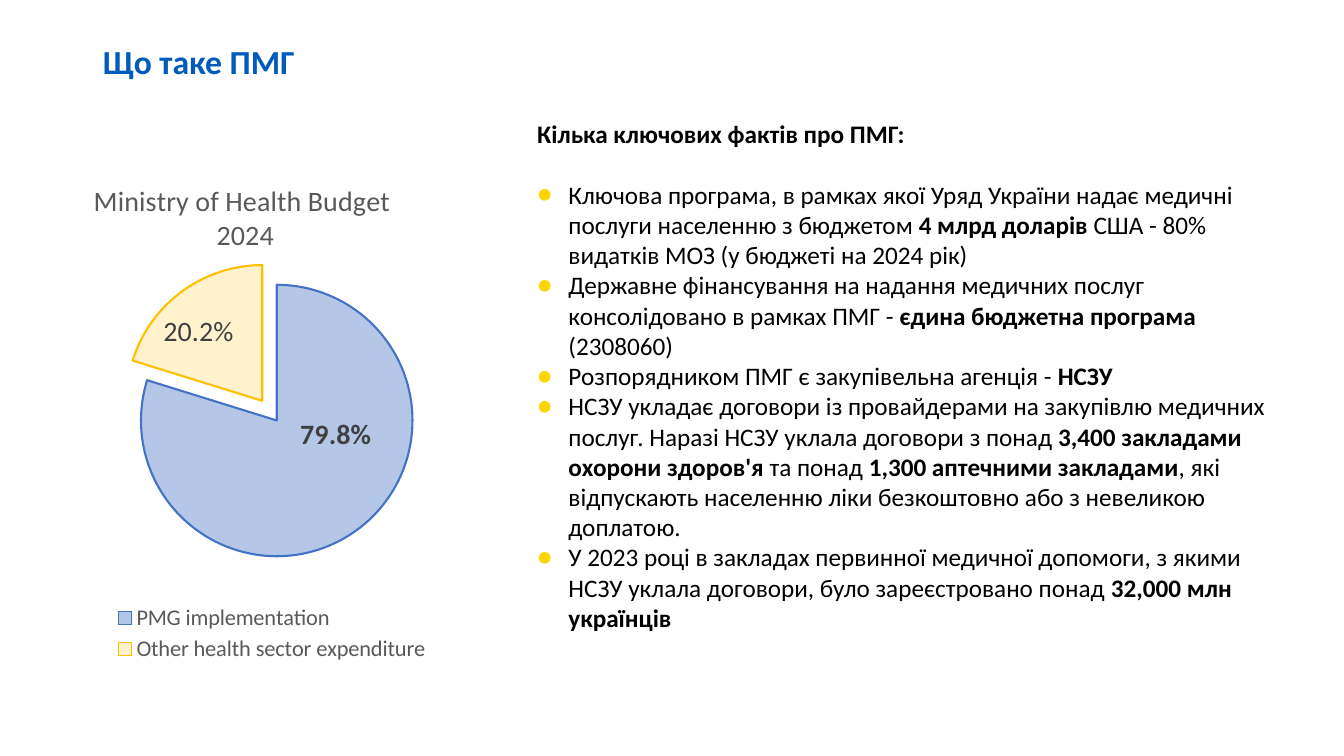
import lxml.etree
import pptx
import pptx.chart.data
import pptx.dml.color
import pptx.enum.chart
import pptx.enum.text
import pptx.oxml.ns
import pptx.util

EMU_PER_PX = 9144
TITLE_ONLY = 5

TITLE_FORMAT = {"size": 24, "bold": True, "color": "005BBB"}
BODY_FORMAT = {"size": 18, "bold": False, "color": "000000"}
STRONG_FORMAT = {**BODY_FORMAT, "bold": True}
CHART_TITLE_FORMAT = {"size": 20, "bold": False, "color": "595959"}
LEGEND_FORMAT = {"size": 16, "bold": False, "color": "595959"}
LABEL_FORMAT = {"size": 20, "bold": False, "color": "404040"}

BUDGET = [
    {"name": "PMG implementation", "share": 0.798, "fill": "B4C7E7",
     "line": "4472C4", "bold": True, "shift": {"x": 0.04, "y": -0.08}},
    {"name": "Other health sector expenditure", "share": 0.202, "fill": "FFF2CC",
     "line": "FFC000", "bold": False, "shift": {"x": -0.05, "y": -0.03}},
]

FACTS = [
    ["Ключова програма, в рамках якої Уряд України надає медичні послуги "
     "населенню з бюджетом ", "4 млрд доларів ",
     "США - 80% видатків МОЗ (у бюджеті на 2024 рік)"],
    ["Державне фінансування на надання медичних послуг консолідовано в рамках ПМГ - ",
     "єдина бюджетна програма", " (2308060)"],
    ["Розпорядником ПМГ є закупівельна агенція - ", "НСЗУ"],
    ["НСЗУ укладає договори із провайдерами на закупівлю медичних послуг. "
     "Наразі НСЗУ уклала договори з понад ", "3,400 закладами охорони здоров'я ",
     "та понад ", "1,300 аптечними закладами",
     ", які відпускають населенню ліки безкоштовно або з невеликою доплатою."],
    ["У 2023 році в закладах первинної медичної допомоги, з якими НСЗУ уклала "
     "договори, було зареєстровано понад ", "32,000 млн українців"],
]


def px(length):
    """Turn pixels into EMU."""
    return pptx.util.Emu(length * EMU_PER_PX)


def rgb(value):
    """Turn a hex string into a colour."""
    return pptx.dml.color.RGBColor.from_string(value)


def add_element(parent, tag, **attributes):
    """Append an XML element with the given attributes."""
    element = lxml.etree.SubElement(parent, pptx.oxml.ns.qn(tag))
    for name, value in attributes.items():
        element.set(name, str(value))
    return element


def set_layout(parent, index, **settings):
    """Give a chart part a manual layout as its child at the index."""
    for existing in parent.findall(pptx.oxml.ns.qn("c:layout")):
        parent.remove(existing)
    layout = add_element(parent, "c:layout")
    manual = add_element(layout, "c:manualLayout")
    for name, value in settings.items():
        add_element(manual, f"c:{name}", val=value)
    parent.insert(index, layout)


class BudgetSlide:
    """Hold the style and the current slide."""

    def __init__(self, presentation, typeface, bullet_color):
        """Add a title-only slide."""
        self.typeface = typeface
        self.bullet_color = bullet_color
        self.slide = presentation.slides.add_slide(presentation.slide_layouts[TITLE_ONLY])

    def style(self, font, look):
        """Apply a size, weight and colour to a font."""
        values = {"name": self.typeface, "size": pptx.util.Pt(look["size"]),
                  "bold": look["bold"]}
        for name, value in values.items():
            setattr(font, name, value)
        font.color.rgb = rgb(look["color"])

    def add_text(self, paragraph, text, look):
        """Add a formatted run to a paragraph."""
        run = paragraph.add_run()
        run.text = text
        self.style(run.font, look)

    def title(self, text, left, top, width, height):
        """Place and fill the title placeholder."""
        heading = self.slide.shapes.title
        place = {"left": left, "top": top, "width": width, "height": height}
        for name, value in place.items():
            setattr(heading, name, px(value))
        heading.text_frame.vertical_anchor = pptx.enum.text.MSO_ANCHOR.TOP
        paragraph = heading.text_frame.paragraphs[0]
        paragraph.alignment = pptx.enum.text.PP_ALIGN.LEFT
        paragraph.line_spacing = 0.9
        self.add_text(paragraph, text, TITLE_FORMAT)

    def bullet(self, paragraph):
        """Give a paragraph a coloured round bullet with a hanging indent."""
        properties = paragraph._p.get_or_add_pPr()
        properties.set("marL", str(px(31)))
        properties.set("indent", str(px(-31)))
        color = add_element(properties, "a:buClr")
        add_element(color, "a:srgbClr", val=self.bullet_color)
        add_element(properties, "a:buFont", typeface=self.typeface)
        add_element(properties, "a:buChar", char="●")

    def facts(self, heading, facts, left, top, width, height):
        """Add a headed bullet list whose every second run is bold."""
        box = self.slide.shapes.add_textbox(px(left), px(top), px(width), px(height))
        frame = box.text_frame
        frame.word_wrap = True
        lead = frame.paragraphs[0]
        lead.space_after = pptx.util.Pt(22)
        self.add_text(lead, heading, STRONG_FORMAT)
        for fact in facts:
            paragraph = frame.add_paragraph()
            self.bullet(paragraph)
            for position, text in enumerate(fact):
                self.add_text(paragraph, text, STRONG_FORMAT if position % 2 else BODY_FORMAT)

    def pie(self, heading, slices, left, top, width, height):
        """Add an exploded pie chart with a title, labels and a legend."""
        data = pptx.chart.data.CategoryChartData(number_format="0.0%")
        data.categories = [part["name"] for part in slices]
        data.add_series("Series 1", [part["share"] for part in slices])
        chart = self.slide.shapes.add_chart(
            pptx.enum.chart.XL_CHART_TYPE.PIE,
            px(left), px(top), px(width), px(height), data).chart
        self.style(chart.font, LEGEND_FORMAT)

        self.add_text(chart.chart_title.text_frame.paragraphs[0], heading, CHART_TITLE_FORMAT)
        set_layout(chart.chart_title._element, 1, xMode="edge", yMode="edge", x=0.12, y=0.03)

        chart.has_legend = True
        chart.legend.position = pptx.enum.chart.XL_LEGEND_POSITION.BOTTOM
        chart.legend.include_in_layout = False
        self.style(chart.legend.font, LEGEND_FORMAT)
        set_layout(chart.legend._element, 1, xMode="edge", yMode="edge",
                   x=0.16, y=0.87, w=0.7, h=0.13)

        plot = chart.plots[0]
        plot.vary_by_categories = True
        set_layout(plot._element.getparent(), 0, layoutTarget="inner",
                   xMode="edge", yMode="edge", x=0.19, y=0.2, w=0.63, h=0.59)
        series = plot.series[0]
        explosion = add_element(series._element, "c:explosion", val=9)
        series._element.find(pptx.oxml.ns.qn("c:tx")).addnext(explosion)
        plot.has_data_labels = True
        plot.data_labels.show_value = True
        plot.data_labels.show_percentage = False
        plot.data_labels.number_format = "0.0%"
        plot.data_labels.number_format_is_linked = False

        for position, part in enumerate(slices):
            point = series.points[position]
            point.format.fill.solid()
            point.format.fill.fore_color.rgb = rgb(part["fill"])
            point.format.line.color.rgb = rgb(part["line"])
            point.format.line.width = pptx.util.Pt(1.5)
            label = point.data_label
            self.style(label.font, {**LABEL_FORMAT, "bold": part["bold"]})
            label.position = pptx.enum.chart.XL_LABEL_POSITION.CENTER
            set_layout(label._get_or_add_dLbl(), 1, **part["shift"])


def main():
    """Build the slide and save it."""
    presentation = pptx.Presentation()
    presentation.slide_width = px(1333)
    presentation.slide_height = px(750)
    overview = BudgetSlide(presentation, "Calibri", "FFD500")
    overview.title("Що таке ПМГ", 92, 40, 1150, 145)
    overview.facts("Кілька ключових фактів про ПМГ:", FACTS, 523, 112, 753, 562)
    overview.pie("Ministry of Health Budget  2024", BUDGET, 32, 159, 466, 502)
    presentation.save("out.pptx")


if __name__ == "__main__":
    main()
